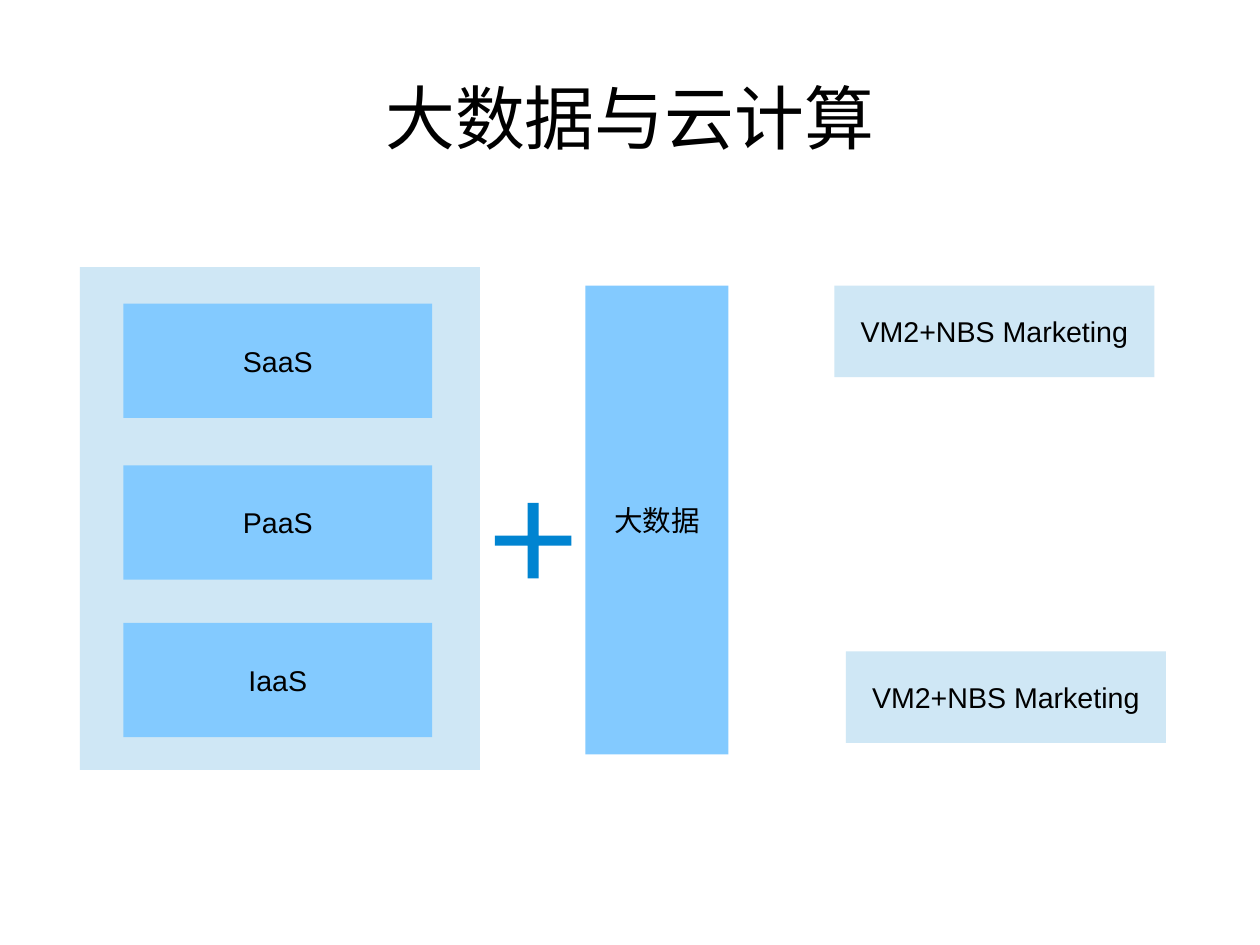
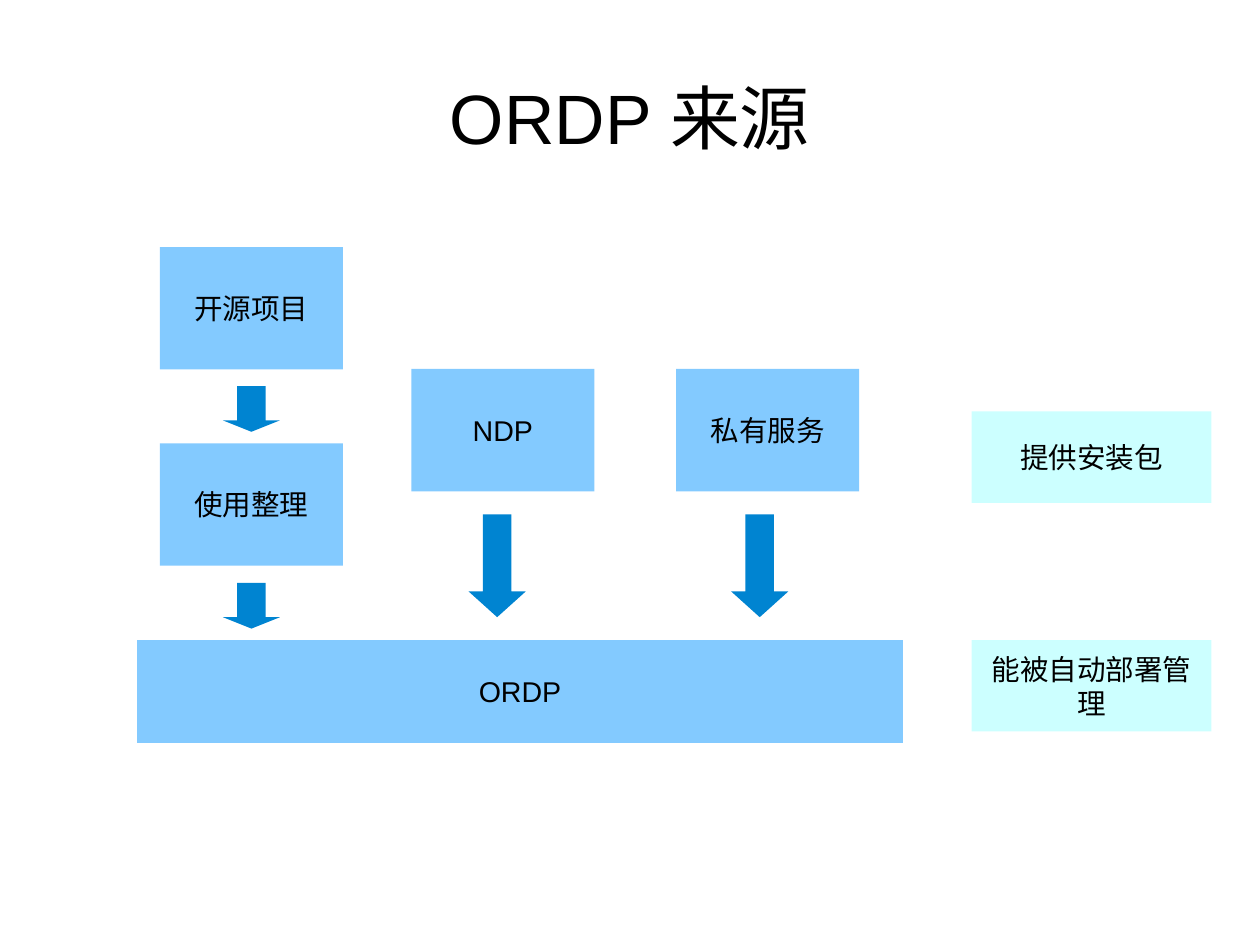
from dataclasses import dataclass

from pptx import Presentation
from pptx.dml.color import RGBColor
from pptx.enum.shapes import MSO_SHAPE as Preset
from pptx.enum.text import MSO_ANCHOR as Anchor, PP_ALIGN as Align
from pptx.presentation import Presentation as Deck
from pptx.slide import Slide
from pptx.text.text import TextFrame
from pptx.util import Pt


@dataclass(frozen=True)
class Theme:
    font: str = "Arial"
    title_size: float = 44
    label_size: float = 18
    ink: str = "000000"
    paper: str = "FFFFFF"
    pale: str = "CFE7F5"
    sky: str = "83CAFF"
    deep: str = "0084D1"
    aqua: str = "CCFFFF"


THEME = Theme()


@dataclass(frozen=True)
class Block:
    """A filled shape, measured in points, with an optional label."""
    left: float
    top: float
    width: float
    height: float
    fill: str
    label: str = ""
    preset: Preset = Preset.RECTANGLE
    adjustments: tuple[float, ...] = ()


def write_centred(frame: TextFrame, text: str, size: float) -> None:
    frame.word_wrap = True
    frame.vertical_anchor = Anchor.MIDDLE
    para = frame.paragraphs[0]
    para.alignment = Align.CENTER
    span = para.add_run()
    span.text = text
    span.font.name = THEME.font
    span.font.size = Pt(size)
    span.font.color.rgb = RGBColor.from_string(THEME.ink)


def draw_block(page: Slide, block: Block) -> None:
    box = page.shapes.add_shape(block.preset, Pt(block.left), Pt(block.top),
                                Pt(block.width), Pt(block.height))
    box.shadow.inherit = False
    box.fill.solid()
    box.fill.fore_color.rgb = RGBColor.from_string(block.fill)
    box.line.fill.background()
    for index, value in enumerate(block.adjustments):
        box.adjustments[index] = value
    if block.label:
        write_centred(box.text_frame, block.label, THEME.label_size)


def add_page(deck: Deck, title: str, blocks: list[Block]) -> None:
    page = deck.slides.add_slide(deck.slide_layouts[6])
    page.background.fill.solid()
    page.background.fill.fore_color.rgb = RGBColor.from_string(THEME.paper)
    box = page.shapes.add_textbox(Pt(39.7), Pt(23.8), Pt(714.2), Pt(99.4))
    frame = box.text_frame
    frame.margin_left = frame.margin_right = frame.margin_top = frame.margin_bottom = 0
    write_centred(frame, title, THEME.title_size)
    for block in blocks:
        draw_block(page, block)


def cloud_blocks() -> list[Block]:
    # Cloud stack, plus sign and big data column
    layers = [Block(77.8, top, 194.4, 72, THEME.sky, label)
              for top, label in ((191.3, "SaaS"), (293.2, "PaaS"), (392.4, "IaaS"))]
    # Market offers on the right
    offers = [Block(left, top, 201.6, 57.6, THEME.pale, "VM2+NBS Marketing")
              for left, top in ((532.8, 410.4), (525.6, 180))]
    return [
        Block(50.4, 168.3, 252, 316.8, THEME.pale),
        *layers,
        Block(368.8, 180, 90, 295.2, THEME.sky, "大数据"),
        Block(311.8, 316.8, 48.2, 47.5, THEME.deep, preset=Preset.CROSS, adjustments=(0.434,)),
        *offers,
    ]


def origin_blocks() -> list[Block]:
    # Sources feeding the platform
    sources = [Block(left, top, 115.2, 77.2, THEME.sky, label)
               for left, top, label in ((100.8, 155.6, "开源项目"), (100.8, 279.2, "使用整理"),
                                        (259.2, 232.4, "NDP"), (426, 232.4, "私有服务"))]
    # Short and long arrows, each with its own head depth
    arrows = [Block(left, top, 36, height, THEME.deep, preset=Preset.DOWN_ARROW,
                    adjustments=(0.5, head))
              for left, top, height, head in ((140.4, 367.2, 28.8, 0.25),
                                              (140.4, 243.2, 28.8, 0.25),
                                              (295.2, 324, 64.8, 0.45),
                                              (460.6, 324, 64.8, 0.45))]
    # Remarks on the right
    remarks = [Block(612, top, 151.2, 57.6, THEME.aqua, label)
               for top, label in ((259.2, "提供安装包"), (403.2, "能被自动部署管理"))]
    platform = Block(86.4, 403.2, 482.4, 64.8, THEME.sky, "ORDP")
    return [*sources, platform, *arrows, *remarks]


def main() -> None:
    deck = Presentation()
    deck.slide_width, deck.slide_height = Pt(793.7), Pt(595.28)
    add_page(deck, "大数据与云计算", cloud_blocks())
    add_page(deck, "ORDP 来源", origin_blocks())
    deck.save("out.pptx")


if __name__ == "__main__":
    main()
